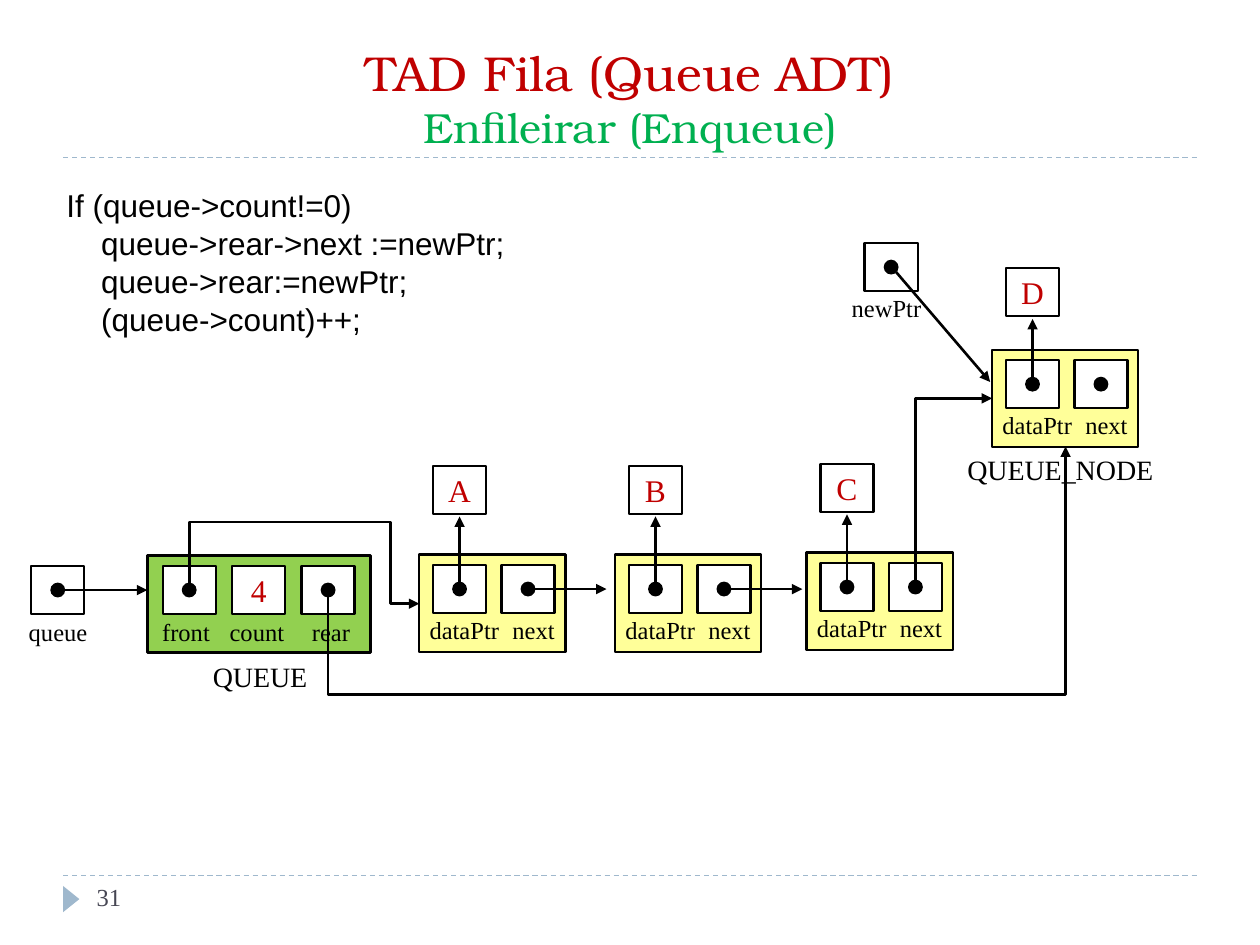
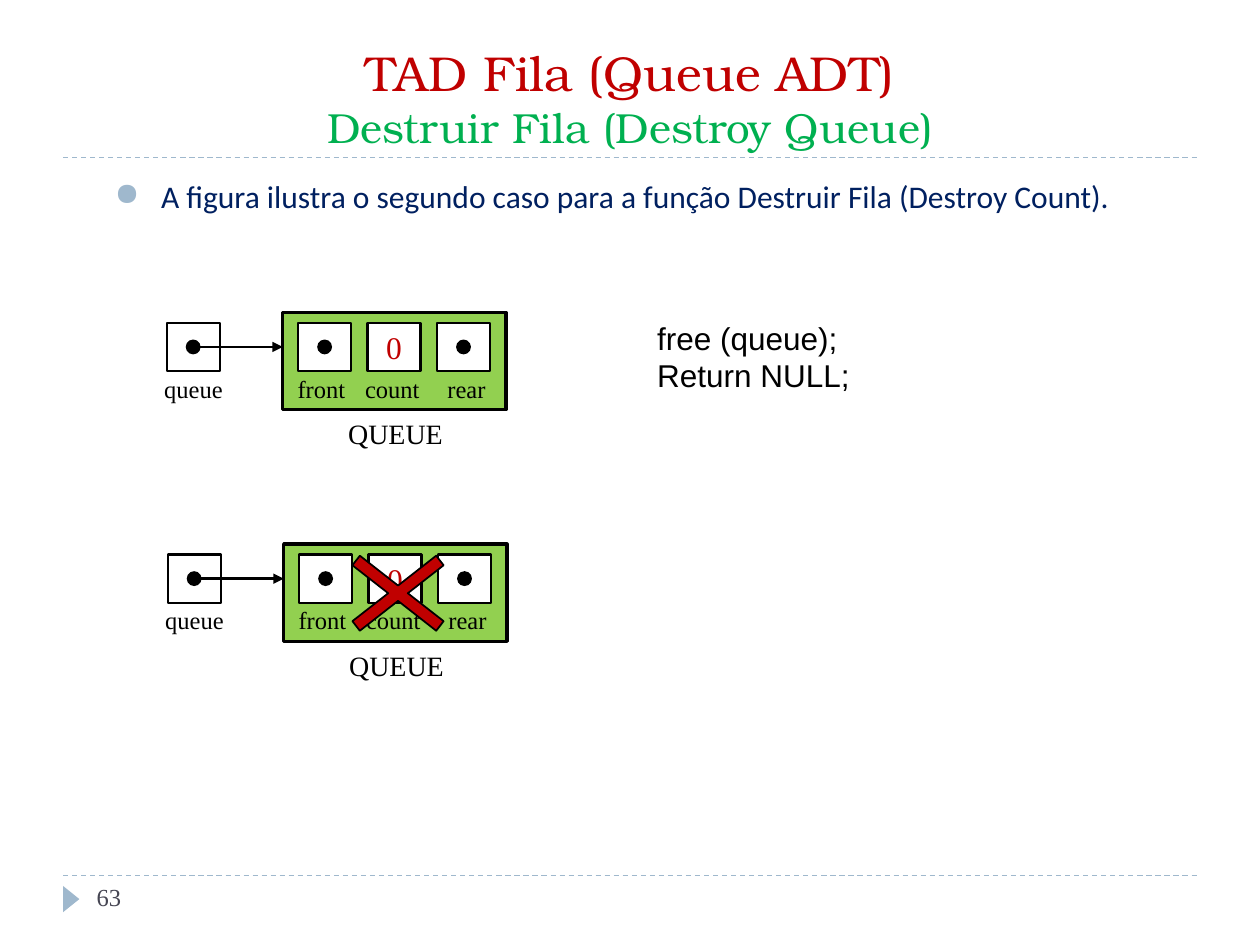
"""Build two slides on the queue ADT: enqueue and destroy queue."""
from lxml import etree
from pptx import Presentation
from pptx import util as u
from pptx.dml.color import RGBColor
from pptx.enum import dml, shapes, text
from pptx.oxml import parse_xml
from pptx.oxml.ns import nsdecls, qn

SERIF, SANS, TITLE_FONT, BODY_FONT = "Times New Roman", "Arial", "TeX Gyre Bonum", "Calibri"
BLACK, WHITE, RED, GREEN = "000000", "FFFFFF", "C00000", "00B050"
NODE_FILL, QUEUE_FILL, ACCENT, NAVY, GREY = "FFFF99", "92D050", "9FB8CD", "002060", "464653"

COURSE_TITLE = "TAD Fila (Queue ADT)"
ENQUEUE = {
    "title": "Enfileirar (Enqueue)",
    "number": "31",
    "code": [("If (queue->count!=0)", 0), ("queue->rear->next :=newPtr;", 0.7),
             ("queue->rear:=newPtr;", 0.7), ("(queue->count)++;", 0.7)],
    "nodes": [("A", 8.45, 11.18, 1.79), ("B", 12.4, 11.18, 1.79),
              ("C", 16.26, 11.14, 1.79), ("D", 20, 7.05, 1.64)],
}
DESTROY = {
    "title": "Destruir Fila (Destroy Queue)",
    "number": "63",
    "body": "A figura ilustra o segundo caso para a função Destruir Fila (Destroy Count).",
    "code": [("free (queue);", 0), ("Return NULL;", 0)],
    "queues": [(5.7, 6.3), (5.72, 10.97)],
}
QUEUE_LABELS = [("front", 0.05, 1.47), ("count", 1.41, 1.63), ("rear", 3.07, 1.3),
                ("queue", -2.64, 1.7)]
NODE_LABELS = [("dataPtr", -0.04, 1.93), ("next", 1.63, 1.37)]

CELL_W, CELL_H, CELL_TOP = 1.07, 0.97, 0.21
DOT = 0.3
BLOCK_H, QUEUE_W, NODE_W = 1.96, 4.5, 2.95
LABEL_TOP = 1.09


def color(value):
    return RGBColor.from_string(value)


def style(para, size, font, hue):
    para.font.size, para.font.name = u.Pt(size), font
    para.font.color.rgb = color(hue)


def add_text(page, left, top, width, height, lines, size, font=SERIF, hue=BLACK, wrap=True):
    box = page.shapes.add_textbox(u.Cm(left), u.Cm(top), u.Cm(width), u.Cm(height))
    frame = box.text_frame
    frame.word_wrap = wrap
    for index, (line, indent) in enumerate(lines):
        para = frame.paragraphs[0] if index == 0 else frame.add_paragraph()
        para.text = line
        style(para, size, font, hue)
        if indent:
            para._p.get_or_add_pPr().set("marL", str(u.Cm(indent)))
    return box


def add_label(page, left, top, width, caption, size=14):
    add_text(page, left, top, width, 0.86, [(caption, 0)], size, wrap=False)


def add_shape(page, kind, left, top, width, height, fill, line=None):
    shape = page.shapes.add_shape(kind, u.Cm(left), u.Cm(top), u.Cm(width), u.Cm(height))
    shape.shadow.inherit = False
    shape.fill.solid()
    shape.fill.fore_color.rgb = color(fill)
    if line:
        shape.line.color.rgb, shape.line.width = color(BLACK), u.Pt(line)
    else:
        shape.line.fill.background()
    return shape


def add_cell(page, left, top, value=None):
    cell = add_shape(page, shapes.MSO_SHAPE.RECTANGLE, left, top, CELL_W, CELL_H, WHITE, 1.25)
    if value:
        cell.text_frame.vertical_anchor = text.MSO_ANCHOR.MIDDLE
        para = cell.text_frame.paragraphs[0]
        para.text, para.alignment = value, text.PP_ALIGN.CENTER
        style(para, 18, SERIF, RED)


def add_pointer(page, left, top):
    """Draw a cell holding a dot and return the dot's centre."""
    add_cell(page, left, top)
    x, y = left + CELL_W / 2, top + CELL_H / 2
    add_shape(page, shapes.MSO_SHAPE.OVAL, x - DOT / 2, y - DOT / 2, DOT, DOT, BLACK)
    return x, y


def add_line(page, start, end, hue=BLACK, width=1.5, arrow=True):
    line = page.shapes.add_connector(shapes.MSO_CONNECTOR.STRAIGHT,
                                     *(u.Cm(value) for value in (*start, *end)))
    line.line.color.rgb, line.line.width = color(hue), u.Pt(width)
    if arrow:
        etree.SubElement(line.line._get_or_add_ln(), qn("a:tailEnd"), type="triangle")
    etree.SubElement(line._element.spPr, qn("a:effectLst"))
    return line


def add_elbow(page, start, end, *bends):
    """Draw an arrow that leaves vertically; bends are the turning y, then the turning x."""
    (x1, y1), (x2, y2) = start, end
    width, height = abs(y2 - y1), abs(x2 - x1)
    line = add_line(page, start, end)
    line.left, line.top = u.Cm((x1 + x2 - width) / 2), u.Cm((y1 + y2 - height) / 2)
    line.width, line.height = u.Cm(width), u.Cm(height)
    frame = line._element.spPr.find(qn("a:xfrm"))
    frame.attrib.pop("flipV", None)
    frame.set("rot", "16200000")
    if y2 > y1:
        frame.set("flipH", "1")
    geometry = line._element.spPr.find(qn("a:prstGeom"))
    geometry.set("prst", f"bentConnector{len(bends) + 2}")
    guides = geometry.find(qn("a:avLst"))
    if guides is None:
        guides = etree.SubElement(geometry, qn("a:avLst"))
    for index, (bend, first, last) in enumerate(zip(bends, (y1, x1), (y2, x2)), 1):
        share = round((bend - first) / (last - first) * 100000)
        etree.SubElement(guides, qn("a:gd"), name=f"adj{index}", fmla=f"val {share}")


def add_queue(page, left, top, count):
    """Draw the queue header with its pointer; return the front and rear dots."""
    add_shape(page, shapes.MSO_SHAPE.RECTANGLE, left, top, QUEUE_W, BLOCK_H, QUEUE_FILL, 2)
    cells = [left + 0.31 + 1.4 * column for column in range(3)]
    front = add_pointer(page, cells[0], top + CELL_TOP)
    add_cell(page, cells[1], top + CELL_TOP, count)
    rear = add_pointer(page, cells[2], top + CELL_TOP)
    x, y = add_pointer(page, left - 2.34, top + CELL_TOP)
    add_line(page, (x, y), (left, y))
    for caption, shift, width in QUEUE_LABELS:
        add_label(page, left + shift, top + LABEL_TOP + 0.02, width, caption)
    add_label(page, left + 1.07, top + 1.98, 2.44, "QUEUE", 16)
    return front, rear


def add_node(page, value, left, top, rise):
    """Draw a node and its data cell; return the next dot."""
    add_shape(page, shapes.MSO_SHAPE.RECTANGLE, left, top, NODE_W, BLOCK_H, NODE_FILL, 1.25)
    x, y = add_pointer(page, left + 0.28, top + CELL_TOP)
    following = add_pointer(page, left + 1.66, top + CELL_TOP)
    for caption, shift, width in NODE_LABELS:
        add_label(page, left + shift, top + LABEL_TOP, width, caption)
    add_cell(page, left + 0.28, top - rise, value)
    add_line(page, (x, y), (x, top - rise + CELL_H + 0.05))
    return following


def add_page(deck, content):
    page = deck.slides.add_slide(deck.slide_layouts[6])
    for y in (17.65, 3.17):
        rule = add_line(page, (1.27, y), (24.13, y), ACCENT, 0.75, arrow=False)
        rule.line.dash_style = dml.MSO_LINE.DASH
    marker = add_shape(page, shapes.MSO_SHAPE.ISOSCELES_TRIANGLE, 1.17, 17.96, 0.53, 0.33, ACCENT)
    marker.rotation = 90
    title = add_text(page, 1.27, 0.64, 22.86, 2.54, [("", 0)], 28, TITLE_FONT)
    title.text_frame.vertical_anchor = text.MSO_ANCHOR.BOTTOM
    para = title.text_frame.paragraphs[0]
    para.alignment = text.PP_ALIGN.CENTER
    for index, (line, size, hue) in enumerate([(COURSE_TITLE, 28, RED),
                                               (content["title"], 24, GREEN)]):
        if index:
            para.add_line_break()
        span = para.add_run()
        span.text = line
        style(span, size, TITLE_FONT, hue)
    add_text(page, 1.7, 17.65, 5.5, 1.02, [(content["number"], 0)], 14, hue=GREY)
    return page


def build_enqueue(deck):
    page = add_page(deck, ENQUEUE)
    add_text(page, 1.09, 3.63, 10, 3.33, ENQUEUE["code"], 18, SANS)
    front, rear = add_queue(page, 2.97, 11.2, "4")
    dots = [add_node(page, *node) for node in ENQUEUE["nodes"]]
    for x, y in dots[:2]:
        add_line(page, (x, y), (x + 1.58, y))
    new_x, new_y = add_pointer(page, 17.43, 4.9)
    add_label(page, 16.92, 5.79, 1.93, "newPtr")
    add_line(page, (new_x + 0.1, new_y + 0.1), (19.96, 7.7))
    add_label(page, 19.25, 8.99, 4.29, "QUEUE_NODE", 16)
    add_elbow(page, front, (8.45, 12.17), 10.52, 7.87)
    add_elbow(page, rear, (21.48, 9), 14)
    add_elbow(page, dots[2], (20, 8.03))


def build_destroy(deck):
    page = add_page(deck, DESTROY)
    body = add_text(page, 2.06, 3.45, 21.59, 1.24, [(DESTROY["body"], 0.94)], 18, BODY_FONT, NAVY)
    para = body.text_frame.paragraphs[0]
    para.alignment = text.PP_ALIGN.JUSTIFY
    properties = para._p.get_or_add_pPr()
    properties.set("indent", str(-u.Cm(0.94)))
    bullet = (f'<a:buClr {nsdecls("a")}><a:srgbClr val="{ACCENT}"/></a:buClr>',
              f'<a:buChar {nsdecls("a")} char="●"/>')
    for position, part in enumerate(bullet):
        properties.insert(position, parse_xml(part))
    for left, top in DESTROY["queues"]:
        add_queue(page, left, top, "0")
    add_text(page, 13, 6.3, 4.42, 1.8, DESTROY["code"], 18, SANS)
    cross = add_shape(page, shapes.MSO_SHAPE.MATH_MULTIPLY, 6.4, 10.69, 3.25, 2.54, RED, 1)
    cross.adjustments[0] = 0.096


def main():
    deck = Presentation()
    deck.slide_width, deck.slide_height = u.Cm(25.4), u.Cm(19.05)
    build_enqueue(deck)
    build_destroy(deck)
    deck.save("out.pptx")


if __name__ == "__main__":
    main()
